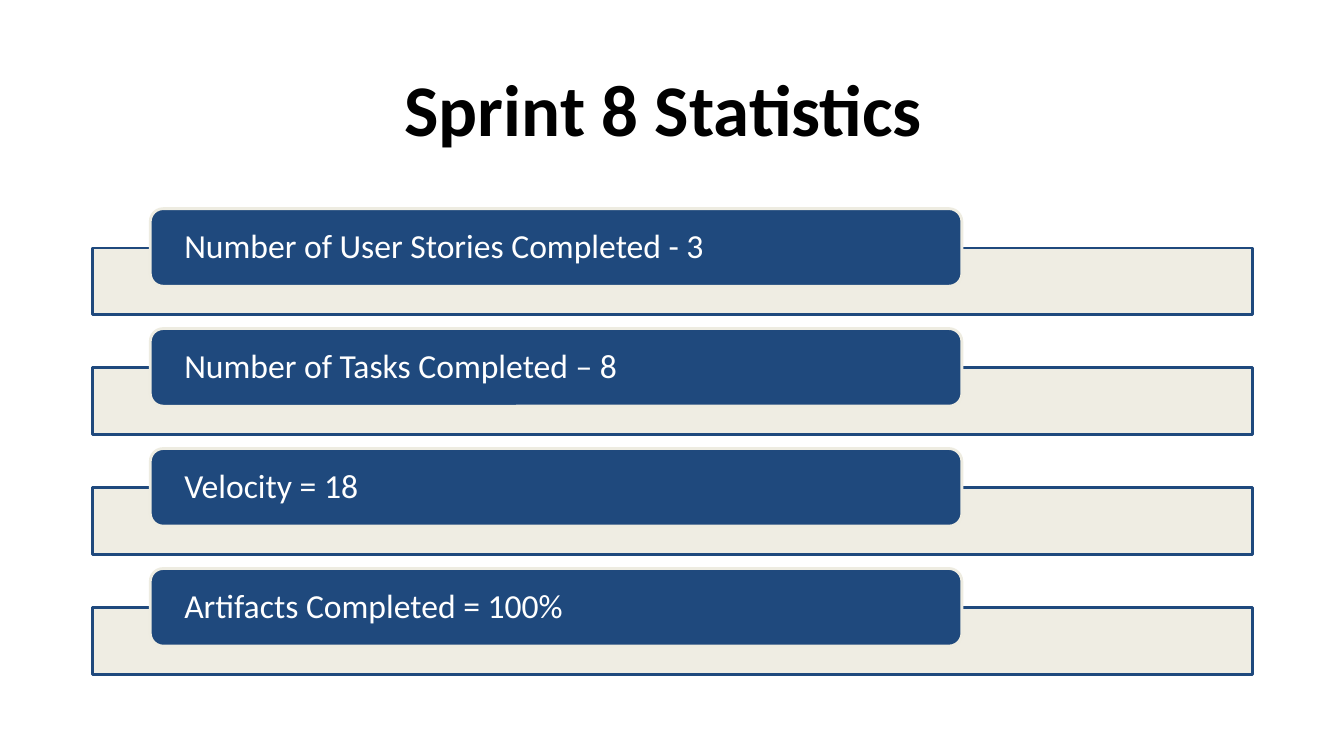
from lxml import etree
from pptx import Presentation
from pptx import util as u
from pptx.dml.color import RGBColor
from pptx.enum import shapes, text
from pptx.oxml.ns import qn

TITLE = "Sprint 8 Statistics"
STATS = [
    "Number of User Stories Completed - 3",
    "Number of Tasks Completed – 8",
    "Velocity = 18",
    "Artifacts Completed = 100%",
]
FONT = "Calibri"
NAVY, CREAM, WHITE, BLACK = "1F497D", "EEECE1", "FFFFFF", "000000"
WIDTH, HEIGHT = 13.33, 7.5
TOP, PITCH = 2.07, 1.19
BAR_LEFT, BAR_DROP, BAR_WIDTH, BAR_HEIGHT = 0.92, 0.39, 11.5, 0.66
LABEL_LEFT, LABEL_WIDTH, LABEL_HEIGHT = 1.49, 8.05, 0.77


def rgb(value):
    return RGBColor.from_string(value)


def add_box(s, kind, box, fill, line):
    sp = s.shapes.add_shape(kind, *map(u.Inches, box))
    sp.shadow.inherit = False
    sp.fill.solid()
    sp.fill.fore_color.rgb = rgb(fill)
    sp.line.color.rgb = rgb(line)
    sp.line.width = u.Pt(2)
    return sp


def set_text(sp, content, size, color, align, bold=False):
    tf = sp.text_frame
    tf.word_wrap = True
    tf.auto_size = text.MSO_AUTO_SIZE.NONE
    tf.vertical_anchor = text.MSO_ANCHOR.MIDDLE
    tf.text = content
    p = tf.paragraphs[0]
    p.alignment = align
    p.line_spacing = 0.9
    p.space_before = u.Pt(0)
    p.font.name = FONT
    p.font.size = u.Pt(size)
    p.font.bold = bold
    p.font.color.rgb = rgb(color)
    return tf


def add_stat(s, row, stat):
    top = TOP + row * PITCH
    bar = add_box(s, shapes.MSO_SHAPE.RECTANGLE,
                  (BAR_LEFT, top + BAR_DROP, BAR_WIDTH, BAR_HEIGHT), CREAM, NAVY)
    fill_color = bar.fill._xPr.find(qn("a:solidFill"))[0]
    etree.SubElement(fill_color, qn("a:alpha"), val="90000")
    label = add_box(s, shapes.MSO_SHAPE.ROUNDED_RECTANGLE,
                    (LABEL_LEFT, top, LABEL_WIDTH, LABEL_HEIGHT), NAVY, CREAM)
    tf = set_text(label, stat, 24, WHITE, text.PP_ALIGN.LEFT)
    tf.margin_left = tf.margin_right = u.Inches(0.3)
    tf.margin_top = tf.margin_bottom = 0


def main():
    prs = Presentation()
    prs.slide_width, prs.slide_height = u.Inches(WIDTH), u.Inches(HEIGHT)
    s = prs.slides.add_slide(prs.slide_layouts[5])
    title = s.shapes.title
    title.left, title.top = u.Inches(0.83), u.Inches(0.5)
    title.width, title.height = u.Inches(11.5), u.Inches(1.24)
    set_text(title, TITLE, 52, BLACK, text.PP_ALIGN.CENTER, True)
    for row, stat in enumerate(STATS):
        add_stat(s, row, stat)
    prs.save("out.pptx")


if __name__ == "__main__":
    main()
